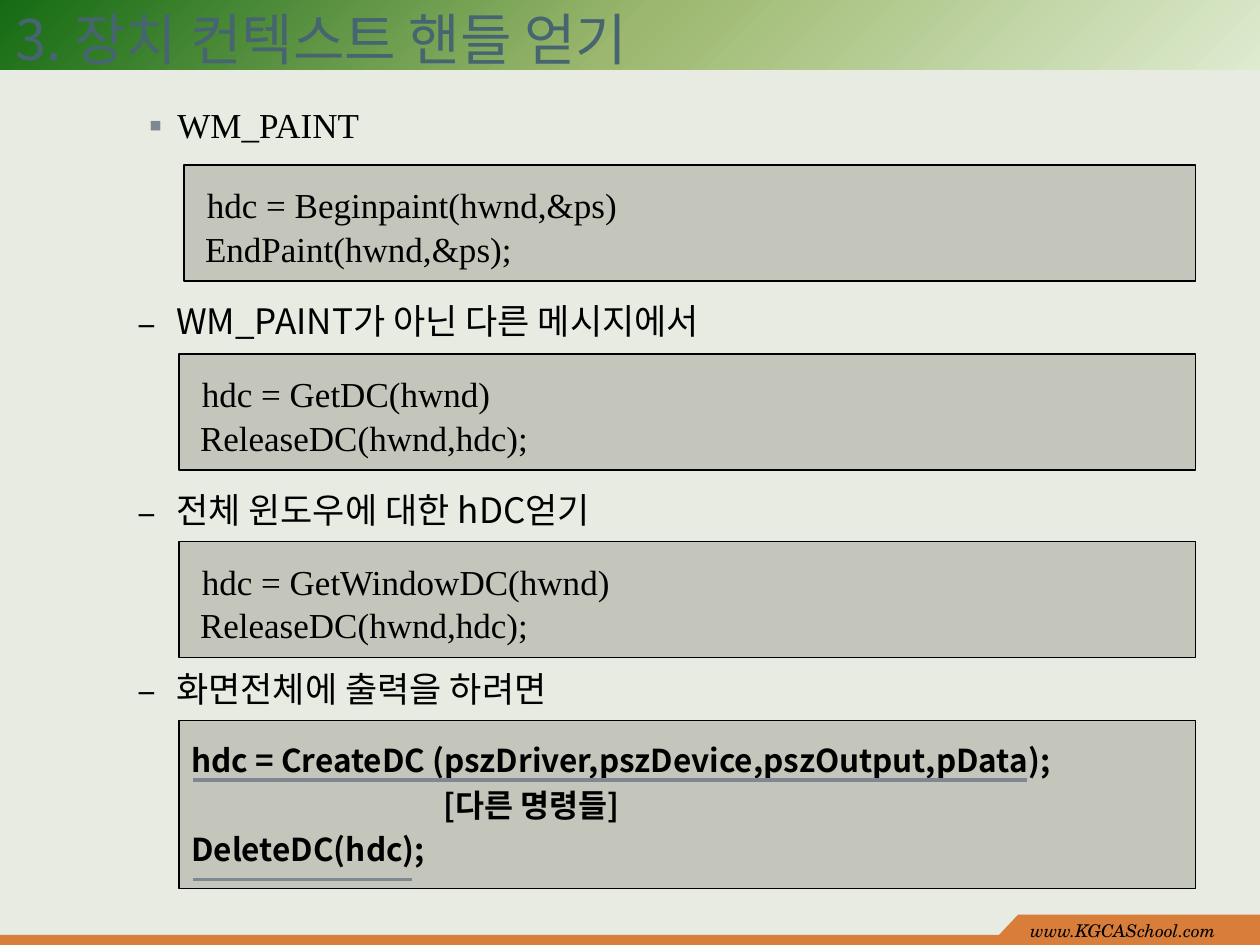
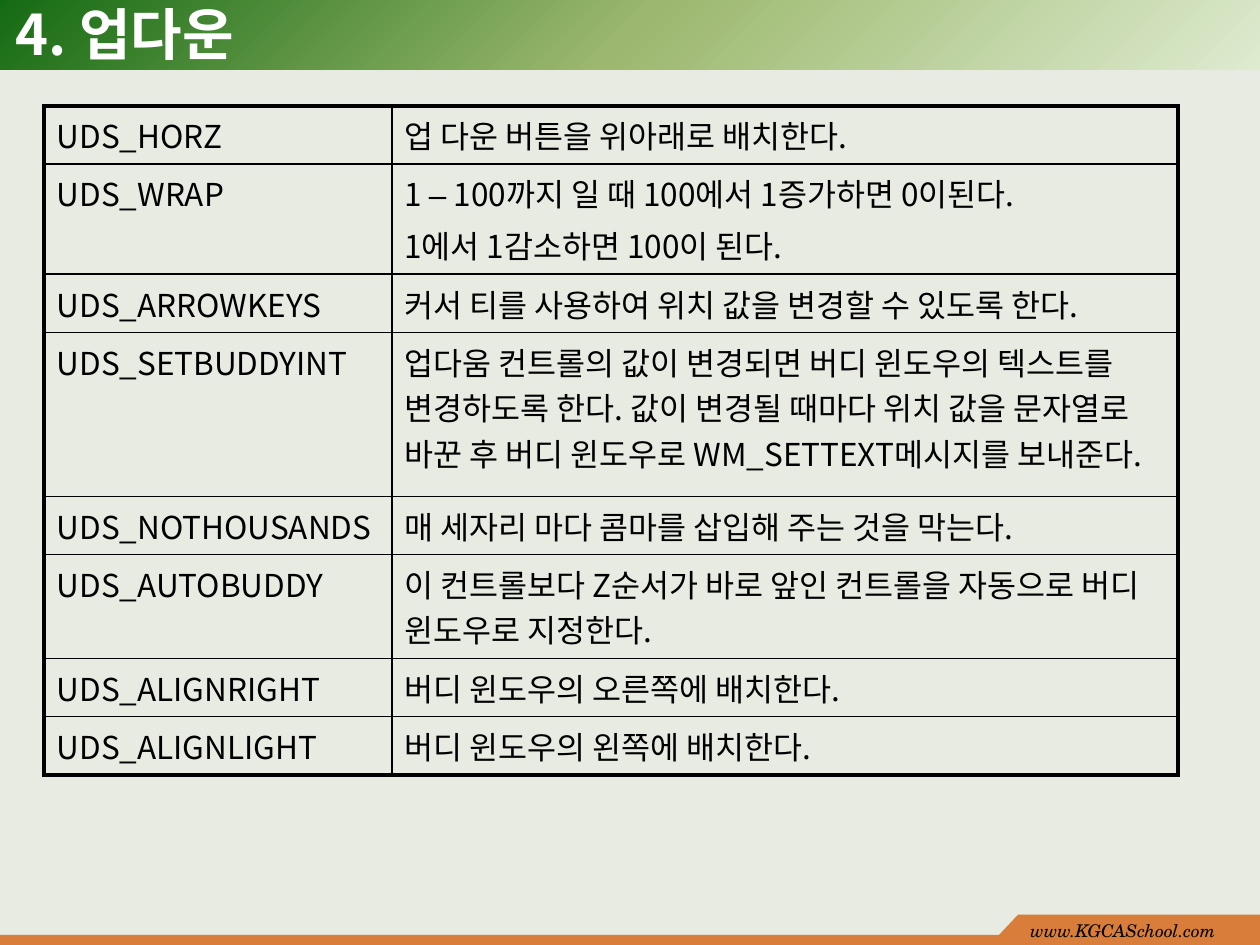
"""Build two lecture slides on device contexts and the up-down control."""
from lxml import etree
from pptx import Presentation
from pptx.dml.color import RGBColor
from pptx.enum.shapes import MSO_CONNECTOR, MSO_SHAPE
from pptx.enum.text import MSO_ANCHOR, MSO_AUTO_SIZE, PP_ALIGN
from pptx.oxml import parse_xml
from pptx.oxml.ns import nsdecls, qn
from pptx.util import Inches, Pt

RECTANGLE = MSO_SHAPE.RECTANGLE
STRAIGHT = MSO_CONNECTOR.STRAIGHT
MIDDLE, TOP = MSO_ANCHOR.MIDDLE, MSO_ANCHOR.TOP
LEFT = PP_ALIGN.LEFT
NO_AUTOFIT = MSO_AUTO_SIZE.NONE

SANS, SERIF = "Noto Sans CJK KR", "Times New Roman"
BLACK, WHITE, SLATE = "000000", "FFFFFF", "466571"
PAPER, ORANGE, STONE, ACCENT = "E7EBE2", "D87D3A", "A3A395", "7F8792"
BAND_STOPS = ((0, "DDEBCF"), (50, "9CB86E"), (100, "156B13"))

UPDOWN_STYLES = [
    ("UDS_HORZ", 0.4, ["업 다운 버튼을 위아래로 배치한다."]),
    ("UDS_WRAP", 0.76, [
        [("1 ", {}), ("–", {"font": "Arial"}),
         (" 100까지 일 때 100에서 1증가하면 0이된다.", {})],
        "1에서 1감소하면 100이 된다."]),
    ("UDS_ARROWKEYS", 0.4, ["커서 티를 사용하여 위치 값을 변경할 수 있도록 한다."]),
    ("UDS_SETBUDDYINT", 1.3, [
        "업다움 컨트롤의 값이 변경되면 버디 윈도우의 텍스트를 변경하도록 한다. "
        "값이 변경될 때마다 위치 값을 문자열로 바꾼 후 버디 윈도우로 "
        "WM_SETTEXT메시지를 보내준다."]),
    ("UDS_NOTHOUSANDS", 0.4, ["매 세자리 마다 콤마를 삽입해 주는 것을 막는다."]),
    ("UDS_AUTOBUDDY", 0.7, [
        "이 컨트롤보다 Z순서가 바로 앞인 컨트롤을 자동으로 버디 윈도우로 지정한다."]),
    ("UDS_ALIGNRIGHT", 0.4, ["버디 윈도우의 오른쪽에 배치한다."]),
    ("UDS_ALIGNLIGHT", 0.4, ["버디 윈도우의 왼쪽에 배치한다."]),
]


def color(value):
    """Turn a hex string into a colour."""
    return RGBColor.from_string(value)


def inches(*lengths):
    """Convert several numbers to inches."""
    return [Inches(length) for length in lengths]


def format_run(run, size=18, font=SANS, fill=BLACK, bold=False, italic=False):
    """Set the character format of a run."""
    run.font.size = Pt(size)
    run.font.name = font
    run.font.bold = bold
    run.font.italic = italic
    run.font.color.rgb = color(fill)
    east_asian = etree.SubElement(run.font._element, qn("a:ea"))
    east_asian.set("typeface", font)


def write(text_frame, paragraphs, gap=0, anchor=TOP, **style):
    """Write paragraphs, each a string or a list of (text, format) runs."""
    text_frame.vertical_anchor = anchor
    for index, content in enumerate(paragraphs):
        paragraph = text_frame.add_paragraph() if index else text_frame.paragraphs[0]
        paragraph.alignment = LEFT
        paragraph.space_before = Pt(gap if index else 0)
        runs = [(content, {})] if isinstance(content, str) else content
        for text, changes in runs:
            run = paragraph.add_run()
            run.text = text
            format_run(run, **{**style, **changes})
    return text_frame.paragraphs


def indent(paragraph, left, hanging=0):
    """Indent a paragraph and return its properties element."""
    properties = paragraph._p.get_or_add_pPr()
    properties.set("marL", str(Inches(left)))
    properties.set("indent", str(-Inches(hanging)))
    return properties


class Deck:
    """Hold the shared style and the current slide."""

    def __init__(self):
        """Start an empty presentation."""
        self.presentation = Presentation()
        self.presentation.slide_width, self.presentation.slide_height = inches(10, 7.5)

    def add_slide(self, title, top, height, **style):
        """Add a slide with its band, footer and title."""
        self.slide = self.presentation.slides.add_slide(self.presentation.slide_layouts[5])
        self.shapes = self.slide.shapes
        self.slide.background.fill.solid()
        self.slide.background.fill.fore_color.rgb = color(PAPER)
        self.title_band()
        self.footer()
        shape = self.shapes.title
        shape.left, shape.top, shape.width, shape.height = inches(0.02, top, 9, height)
        shape.text_frame.auto_size = NO_AUTOFIT
        write(shape.text_frame, [title], anchor=MIDDLE, size=32, **style)
        shape.element.getparent().append(shape.element)

    def paint(self, shape, fill):
        """Give a shape a plain fill without line or shadow."""
        shape.shadow.inherit = False
        shape.fill.solid()
        shape.fill.fore_color.rgb = color(fill)
        shape.line.fill.background()
        return shape

    def rectangle(self, left, top, width, height, fill):
        """Add a plain rectangle."""
        box = inches(left, top, width, height)
        return self.paint(self.shapes.add_shape(RECTANGLE, *box), fill)

    def title_band(self):
        """Add the green gradient behind the title."""
        band = self.rectangle(0, 0, 10, 0.55, WHITE)
        stops = "".join(
            f'<a:gs pos="{position * 1000}"><a:srgbClr val="{value}"/></a:gs>'
            for position, value in BAND_STOPS)
        gradient = parse_xml(
            f'<a:gradFill {nsdecls("a")} rotWithShape="1"><a:gsLst>{stops}</a:gsLst>'
            '<a:path path="circle"><a:fillToRect l="100000" t="100000"/></a:path>'
            '</a:gradFill>')
        solid = band.element.spPr.find(qn("a:solidFill"))
        solid.getparent().replace(solid, gradient)

    def footer(self):
        """Add the orange strip, its tab and the web address."""
        self.rectangle(0, 7.42, 10, 0.08, ORANGE)
        self.rectangle(8.08, 7.26, 1.92, 0.17, ORANGE)
        builder = self.shapes.build_freeform(*inches(7.92, 7.43))
        builder.add_line_segments([inches(8.08, 7.43), inches(8.08, 7.26)], close=True)
        self.paint(builder.convert_to_shape(), ORANGE)
        self.text_box(8.08, 7.25, 1.92, 0.25, "www.KGCASchool.com",
                      size=10, font="TeX Gyre Schola", italic=True)

    def text_box(self, left, top, width, height, text, **style):
        """Add a one-paragraph text box and return its paragraph."""
        box = self.shapes.add_textbox(*inches(left, top, width, height))
        box.text_frame.word_wrap = True
        return write(box.text_frame, [text], **style)[0]

    def bullet(self, left, top, text, mark="–", mark_color=BLACK, spacing=1.0, font=SANS):
        """Add a bulleted heading."""
        paragraph = self.text_box(left, top, 9, 0.39, text, size=20, font=font)
        paragraph.line_spacing = spacing
        properties = indent(paragraph, 0.81, 0.31)
        mark_fill = etree.SubElement(properties, qn("a:buClr"))
        etree.SubElement(mark_fill, qn("a:srgbClr")).set("val", mark_color)
        etree.SubElement(properties, qn("a:buFont")).set("typeface", SANS)
        etree.SubElement(properties, qn("a:buChar")).set("char", mark)

    def code_box(self, left, top, height, lines, **style):
        """Add a translucent framed box of code ending at the right margin."""
        box = self.rectangle(left, top, 9.49 - left, height, STONE)
        fill = box.element.spPr.find(qn("a:solidFill"))
        etree.SubElement(fill[0], qn("a:alpha")).set("val", "50000")
        box.line.color.rgb = color(BLACK)
        box.line.width = Pt(0.75)
        box.text_frame.word_wrap = True
        return write(box.text_frame, lines, anchor=MIDDLE, **style)

    def call_pair(self, left, top, acquire, release):
        """Add a box with the call that gets a handle and the one that frees it."""
        lines = [[(" ", {"size": 24}), (acquire, {})], f" {release}"]
        self.code_box(left, top, 0.92, lines, size=20, font=SERIF)

    def underline(self, left, right, y):
        """Add a horizontal accent line."""
        line = self.shapes.add_connector(STRAIGHT, *inches(left, y, right, y))
        line.line.color.rgb = color(ACCENT)
        line.line.width = Pt(2.25)
        etree.SubElement(line.element.spPr, qn("a:effectLst"))

    def border(self, cell, **widths):
        """Set the border widths of a cell by side letter."""
        properties = cell._tc.get_or_add_tcPr()
        for side, width in widths.items():
            properties.append(parse_xml(
                f'<a:ln{side} {nsdecls("a")} w="{Pt(width)}"><a:solidFill>'
                f'<a:srgbClr val="{BLACK}"/></a:solidFill></a:ln{side}>'))

    def style_table(self, left, top, column_widths, rows):
        """Add a two-column table of style names and descriptions."""
        height = sum(row[1] for row in rows)
        frame = self.shapes.add_table(
            len(rows), 2, *inches(left, top, sum(column_widths), height))
        table = frame.table
        table.first_row = table.horz_banding = False
        for column, width in zip(table.columns, column_widths):
            column.width = Inches(width)
        outer, inner, last = 2.25, 1, len(rows) - 1
        for index, (name, row_height, description) in enumerate(rows):
            table.rows[index].height = Inches(row_height)
            for position, paragraphs in enumerate(([name], description)):
                cell = table.cell(index, position)
                self.border(cell,
                            L=inner if position else outer,
                            R=outer if position else inner,
                            T=inner if index else outer,
                            B=outer if index == last else inner)
                cell.fill.background()
                write(cell.text_frame, paragraphs, gap=3.6)


def device_context_slide(deck):
    """Build the slide on getting device context handles."""
    deck.add_slide("3. 장치 컨텍스트 핸들 얻기", 0.07, 0.46, fill=SLATE)
    deck.bullet(0.5, 0.84, "WM_PAINT", mark="▪", mark_color=ACCENT, spacing=0.8, font=SERIF)
    deck.call_pair(1.46, 1.31, "hdc = Beginpaint(hwnd,&ps)", "EndPaint(hwnd,&ps);")
    deck.bullet(0.49, 2.33, "WM_PAINT가 아닌 다른 메시지에서")
    deck.call_pair(1.42, 2.81, "hdc = GetDC(hwnd)", "ReleaseDC(hwnd,hdc);")
    deck.bullet(0.49, 3.83, "전체 윈도우에 대한 hDC얻기")
    deck.call_pair(1.42, 4.3, "hdc = GetWindowDC(hwnd)", "ReleaseDC(hwnd,hdc);")
    deck.bullet(0.49, 5.25, "화면전체에 출력을 하려면")
    lines = deck.code_box(1.42, 5.72, 1.33, [
        "hdc = CreateDC (pszDriver,pszDevice,pszOutput,pData);",
        "[다른 명령들]",
        "DeleteDC(hdc);"], gap=3.6, bold=True)
    indent(lines[1], 2)
    deck.underline(1.53, 8.15, 6.19)
    deck.underline(1.53, 3.27, 6.98)


def updown_slide(deck):
    """Build the slide on up-down control styles."""
    deck.add_slide("4. 업다운", 0, 0.52, fill=WHITE, bold=True)
    deck.style_table(0.35, 0.84, (2.76, 6.24), UPDOWN_STYLES)


def main():
    """Build and save the presentation."""
    deck = Deck()
    device_context_slide(deck)
    updown_slide(deck)
    deck.presentation.save("out.pptx")


if __name__ == "__main__":
    main()
